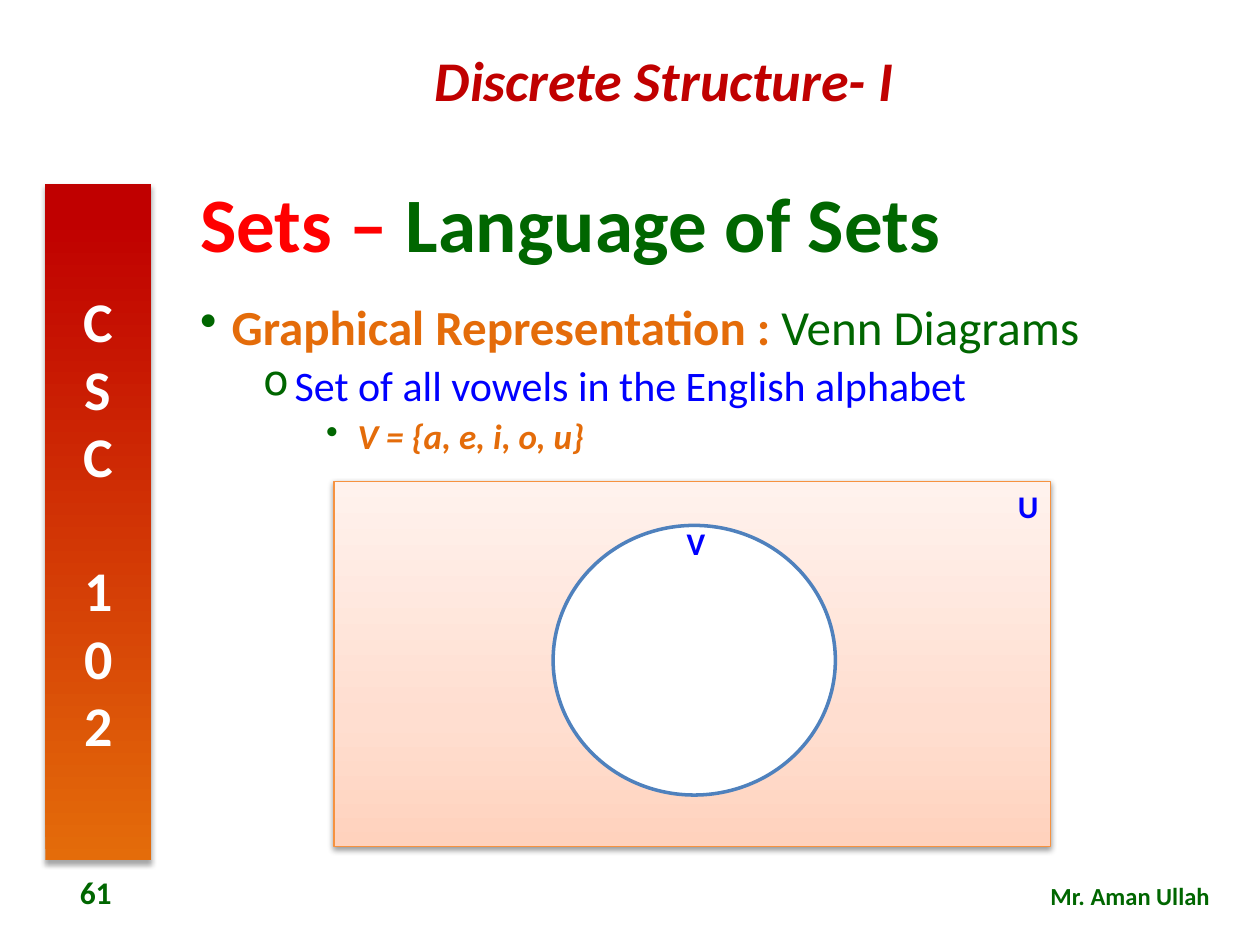
from lxml import etree
from pptx import Presentation
from pptx.dml.color import RGBColor
from pptx.enum.shapes import MSO_SHAPE
from pptx.enum.text import MSO_ANCHOR, PP_ALIGN
from pptx.oxml.ns import qn
from pptx.util import Inches, Pt

RED = RGBColor(0xFF, 0x00, 0x00)
DARK_RED = RGBColor(0xC0, 0x00, 0x00)
GREEN = RGBColor(0x00, 0x66, 0x00)
ORANGE = RGBColor(0xE4, 0x6C, 0x0A)
BLUE = RGBColor(0x00, 0x00, 0xFF)
WHITE = RGBColor(0xFF, 0xFF, 0xFF)
BORDER_ORANGE = RGBColor(0xF6, 0x92, 0x40)
CIRCLE_BLUE = RGBColor(0x4F, 0x81, 0xBD)
PEACH = RGBColor(0xFF, 0xD2, 0xBD)
MID_PEACH = RGBColor(0xFF, 0xDE, 0xD0)
PALE_PEACH = RGBColor(0xFF, 0xF2, 0xED)


def add_element(parent, tag, **attributes):
    element = etree.SubElement(parent, qn(tag))
    for name, value in attributes.items():
        element.set(name, str(value))
    return element


def style(paragraph, size, color, align=PP_ALIGN.LEFT, bold=True, italic=False):
    paragraph.alignment = align
    font = paragraph.font
    font.name, font.size = "Calibri", Pt(size)
    font.bold, font.italic = bold, italic
    font.color.rgb = color


def add_runs(paragraph, *parts):
    """Each part is text, colour, bold."""
    for text, color, bold in parts:
        run = paragraph.add_run()
        run.text = text
        run.font.color.rgb = color
        run.font.bold = bold


def add_frame(slide, box, anchor=MSO_ANCHOR.TOP):
    frame = slide.shapes.add_textbox(*map(Inches, box)).text_frame
    frame.word_wrap = True
    frame.vertical_anchor = anchor
    return frame


def add_label(slide, box, text, size, color, anchor=MSO_ANCHOR.TOP, **look):
    paragraph = add_frame(slide, box, anchor).paragraphs[0]
    paragraph.text = text
    style(paragraph, size, color, **look)


def add_plain_shape(slide, kind, box):
    shape = slide.shapes.add_shape(kind, *map(Inches, box))
    shape.shadow.inherit = False
    shape.line.fill.background()
    shape.text_frame.vertical_anchor = MSO_ANCHOR.TOP
    return shape


def add_gradient_and_shadow(shape, stops, alpha, distance):
    """Gradient from bottom to top, with a soft shadow below."""
    shape.fill.gradient()
    gradient = shape.element.spPr.find(qn("a:gradFill"))
    for child in list(gradient):
        gradient.remove(child)
    stop_list = add_element(gradient, "a:gsLst")
    for position, color in stops:
        stop = add_element(stop_list, "a:gs", pos=position * 1000)
        add_element(stop, "a:srgbClr", val=color)
    add_element(gradient, "a:lin", ang=270 * 60000, scaled=0)

    effects = shape.element.spPr.find(qn("a:effectLst"))
    shadow = add_element(effects, "a:outerShdw", blurRad=Pt(3.1), dist=Pt(distance),
                         dir=90 * 60000, rotWithShape=0)
    shade = add_element(shadow, "a:srgbClr", val="000000")
    add_element(shade, "a:alpha", val=alpha * 1000)


def add_bullet(paragraph, level, char):
    properties = paragraph._p.get_or_add_pPr()
    properties.set("marL", str(Inches(0.25 + 0.5 * level)))
    properties.set("indent", str(Inches(-0.25)))
    color = add_element(properties, "a:buClr")
    add_element(color, "a:srgbClr", val=GREEN)
    add_element(properties, "a:buChar", char=char)
    paragraph.level = level
    paragraph.line_spacing = 0.9
    if level:
        paragraph.space_before = Pt(5)


def add_course_bar(slide, box):
    bar = add_plain_shape(slide, MSO_SHAPE.RECTANGLE, box)
    add_gradient_and_shadow(bar, [(0, ORANGE), (95, DARK_RED)], 35, 1.8)
    bar.text_frame._txBody.bodyPr.set("vert", "wordArtVert")
    code = bar.text_frame.paragraphs[0]
    code.text = "CSC 102"
    style(code, 32, WHITE, PP_ALIGN.CENTER)


def add_title(slide, box):
    title = add_frame(slide, box, MSO_ANCHOR.MIDDLE).paragraphs[0]
    title.line_spacing = 0.9
    style(title, 44, GREEN)
    add_runs(title, ("Sets – ", RED, True), ("Language of Sets", GREEN, True))


def add_outline(slide, box):
    frame = add_frame(slide, box)
    topic = frame.paragraphs[0]
    example, members = frame.add_paragraph(), frame.add_paragraph()
    for level, (paragraph, char) in enumerate(zip((topic, example, members), "•o•")):
        add_bullet(paragraph, level, char)

    style(topic, 28, GREEN, PP_ALIGN.JUSTIFY, bold=False)
    add_runs(topic, ("Graphical Representation : ", ORANGE, True),
             ("Venn Diagrams", GREEN, False))
    example.text = "Set of all vowels in the English alphabet"
    style(example, 24, BLUE, PP_ALIGN.JUSTIFY, bold=False)
    members.text = "V = {a, e, i, o, u}"
    style(members, 20, ORANGE, PP_ALIGN.JUSTIFY, italic=True)


def add_venn_diagram(slide, box):
    left, top, _, _ = box
    # Universal set
    universe = add_plain_shape(slide, MSO_SHAPE.RECTANGLE, box)
    add_gradient_and_shadow(
        universe, [(0, PEACH), (35, MID_PEACH), (100, PALE_PEACH)], 38, 1.6)
    universe.line.color.rgb = BORDER_ORANGE
    universe.line.width = Pt(0.75)
    universe_name = universe.text_frame.paragraphs[0]
    universe_name.text = "U"
    style(universe_name, 18, BLUE, PP_ALIGN.RIGHT)

    # Set of vowels
    vowels = add_plain_shape(slide, MSO_SHAPE.OVAL, (left + 1.74, top + 0.35, 2.24, 2.14))
    vowels.fill.solid()
    vowels.fill.fore_color.rgb = WHITE
    vowels.line.color.rgb = CIRCLE_BLUE
    vowels.line.width = Pt(2)
    add_label(slide, (left + 2.7, top + 0.29, 0.32, 0.4), "V", 18, BLUE)


def main():
    presentation = Presentation()
    presentation.slide_width, presentation.slide_height = Inches(10), Inches(7.5)
    slide = presentation.slides.add_slide(presentation.slide_layouts[6])

    # Header, side bar and footer
    add_label(slide, (2.11, 0.31, 6.33, 0.64), "Discrete Structure- I", 32, DARK_RED,
              align=PP_ALIGN.CENTER, italic=True)
    add_course_bar(slide, (0.36, 1.46, 0.84, 5.37))
    add_label(slide, (6.8, 6.94, 2.9, 0.34), "Mr. Aman Ullah", 14, GREEN,
              align=PP_ALIGN.RIGHT)
    add_label(slide, (0.24, 6.88, 1.04, 0.4), "61", 18, GREEN, MSO_ANCHOR.MIDDLE,
              align=PP_ALIGN.CENTER)

    # Content
    add_title(slide, (1.49, 1.36, 8.39, 0.89))
    add_outline(slide, (1.49, 2.36, 8.39, 4.4))
    add_venn_diagram(slide, (2.65, 3.82, 5.69, 2.9))
    presentation.save("out.pptx")


if __name__ == "__main__":
    main()
